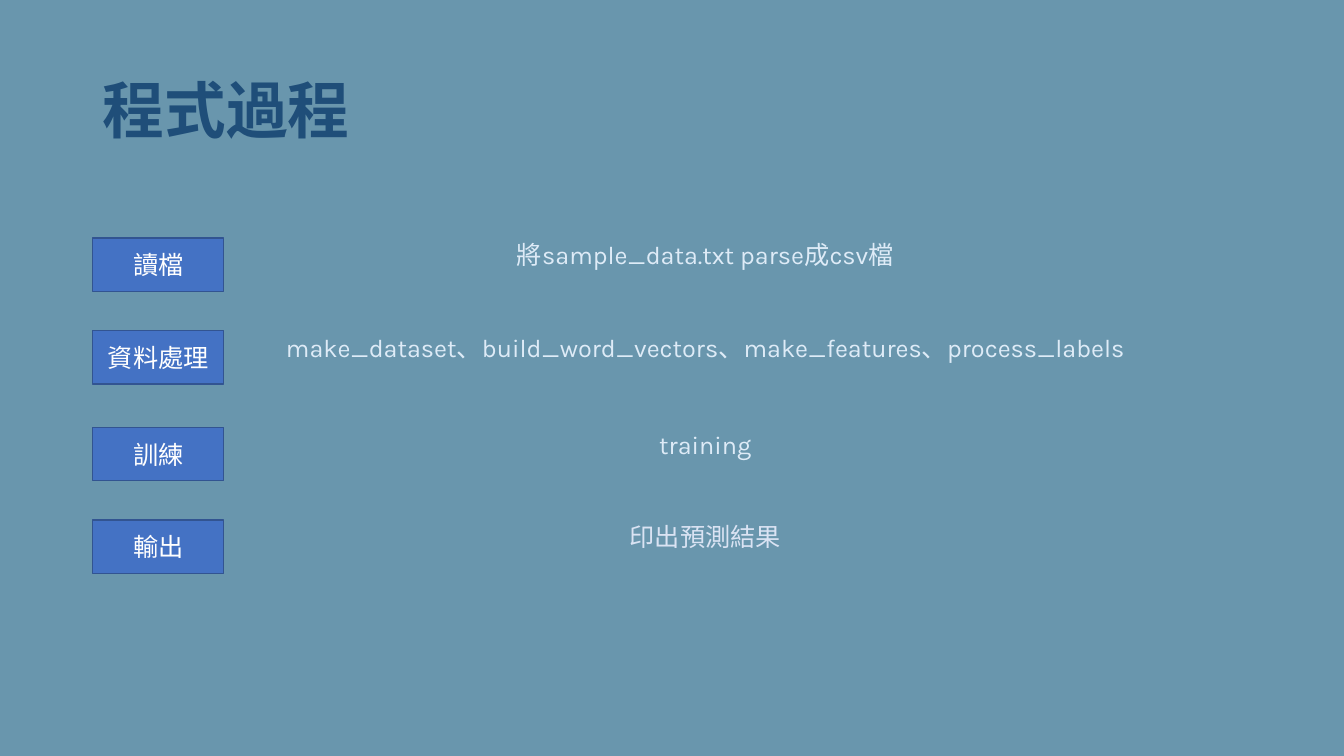
from pptx import Presentation
from pptx import util as u
from pptx.dml import color
from pptx.enum import shapes, text

LEFT = 0.92
STEPS = [
    (2.36, "讀檔", "將sample_data.txt parse成csv檔", "DEEBF7"),
    (3.28, "資料處理",
     "make_dataset、build_word_vectors、make_features、process_labels", "DEEBF7"),
    (4.24, "訓練", "training", "DEEBF7"),
    (5.16, "輸出", "印出預測結果", "DAE3F3"),
]


def paint(target, code):
    """Give a fill a solid colour from a hex string."""
    target.solid()
    target.fore_color.rgb = color.RGBColor.from_string(code)


def place(shape, box):
    """Move and size a shape to a box in inches."""
    shape.left, shape.top, shape.width, shape.height = map(u.Inches, box)


def write(shape, words, size=18, ink="FFFFFF", bold=False, align="CENTER",
          anchor="MIDDLE", line=None, before=None):
    """Put one formatted paragraph in a shape."""
    frame = shape.text_frame
    frame.word_wrap = True
    frame.auto_size = text.MSO_AUTO_SIZE.NONE
    frame.vertical_anchor = text.MSO_ANCHOR[anchor]
    para = frame.paragraphs[0]
    para.alignment = text.PP_ALIGN[align]
    para.line_spacing = line
    para.space_before = before
    run = para.add_run()
    run.text = words
    run.font.name = "Karla"
    run.font.size = u.Pt(size)
    run.font.bold = bold
    paint(run.font.fill, ink)


def add_title(slide, box, words):
    """Place and fill the title placeholder."""
    title = slide.shapes.title
    place(title, box)
    write(title, words, size=44, ink="1F4E79", bold=True, align="LEFT", line=0.9)


def add_step(slide, box, label, detail, ink):
    """Draw one step: a centred detail line with a label at its left end."""
    left, top, width, height = box
    note = slide.shapes.add_textbox(*map(u.Inches, box))
    write(note, detail, ink=ink, anchor="TOP", line=0.9, before=u.Pt(10))
    tag = slide.shapes.add_shape(shapes.MSO_SHAPE.RECTANGLE,
                                 *map(u.Inches, (left, top, 1.3, height)))
    tag.shadow.inherit = False
    paint(tag.fill, "4472C4")
    paint(tag.line.fill, "325491")
    tag.line.width = u.Pt(1)
    write(tag, label)


def build():
    """Build the slide and save it."""
    deck = Presentation()
    deck.slide_width, deck.slide_height = u.Inches(13.33), u.Inches(7.5)
    slide = deck.slides.add_slide(deck.slide_layouts[5])
    paint(slide.background.fill, "6996AD")
    add_title(slide, (LEFT, 0.4, 11.5, 1.45), "程式過程")
    for top, label, detail, ink in STEPS:
        add_step(slide, (LEFT, top, 12.15, 0.53), label, detail, ink)
    deck.save("out.pptx")


build()
